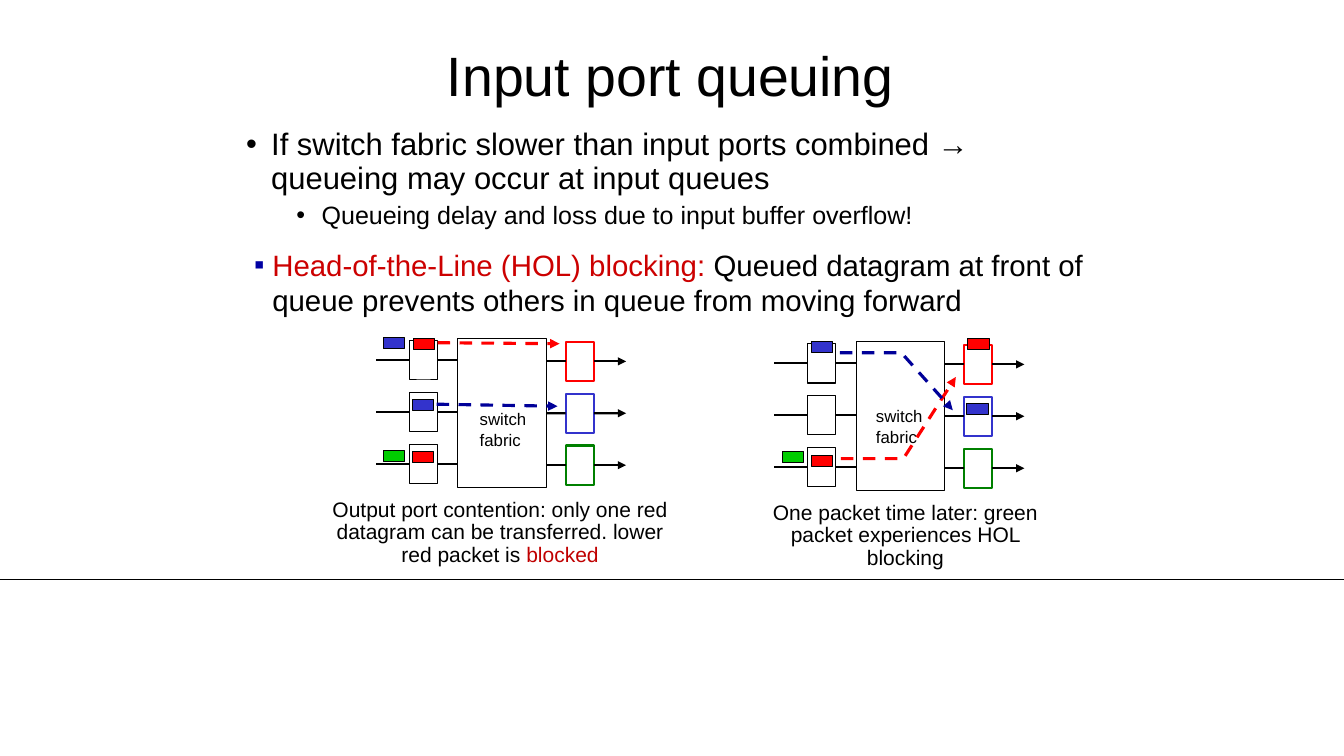
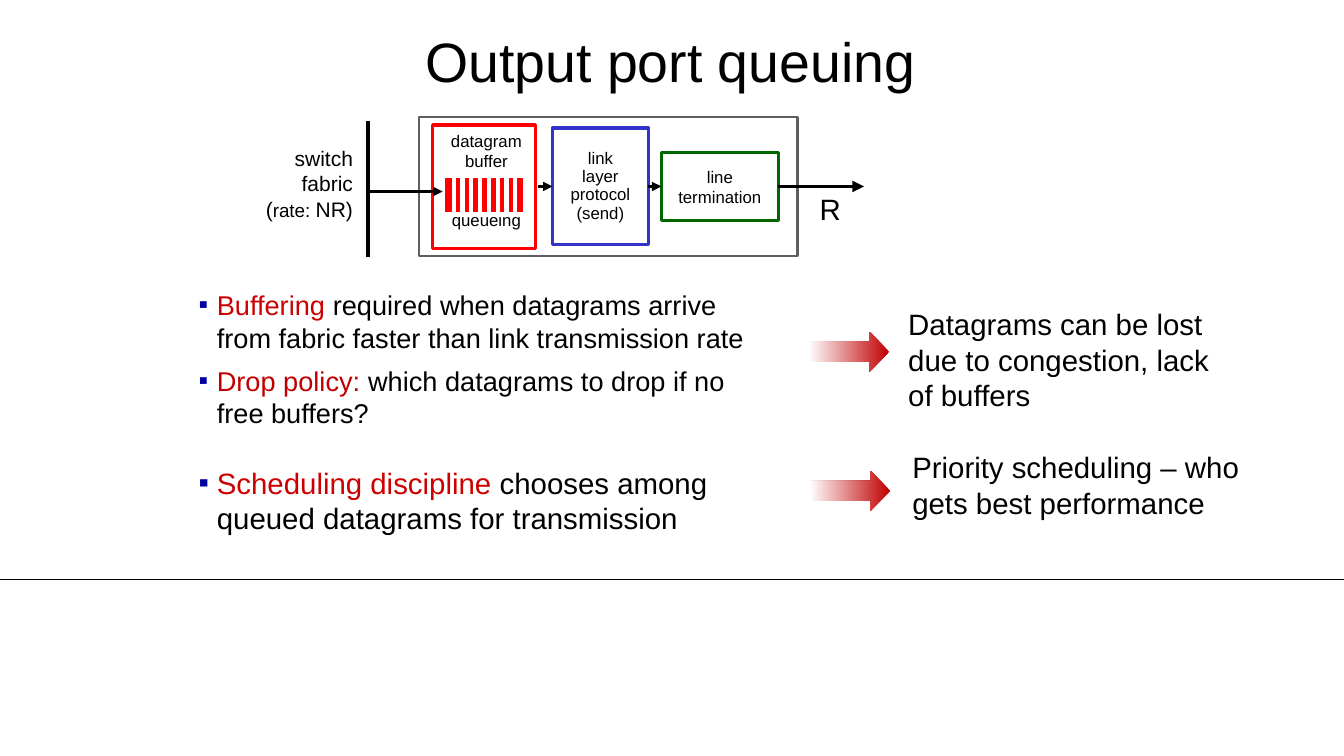
from lxml.etree import SubElement
from pptx import Presentation
from pptx.dml.color import RGBColor as Rgb
from pptx.enum.dml import MSO_LINE as Dash
from pptx.enum.shapes import MSO_CONNECTOR as Link, MSO_SHAPE as Kind
from pptx.enum.text import MSO_ANCHOR as Anchor, MSO_AUTO_SIZE as Fit, PP_ALIGN as Align
from pptx.oxml.ns import qn
from pptx.util import Inches, Pt

FONT = "Arial"
WIDE, HIGH = 13.33, 7.5
HUES = {
    "ink": "000000", "paper": "FFFFFF", "red": "FF0000", "blue": "3333CC",
    "green": "008000", "lime": "00CC00", "navy": "000099", "dot": "0000A3",
    "key": "CC0000", "deep": "C00000", "grey": "5F5F5F", "pine": "006600",
}


def hue(name):
    return Rgb.from_string(HUES[name])


def say(shape, *paras, size, color="ink", align=Align.LEFT, anchor=Anchor.TOP,
        lead=1, gap=0, pad=(0.1, 0.05), wrap=True):
    frame = shape.text_frame
    frame.auto_size = Fit.NONE
    frame.word_wrap = wrap
    frame.vertical_anchor = anchor
    frame.margin_left = frame.margin_right = Inches(pad[0])
    frame.margin_top = frame.margin_bottom = Inches(pad[1])
    for i, item in enumerate(paras):
        para = frame.add_paragraph() if i else frame.paragraphs[0]
        para.alignment = align
        para.line_spacing = lead
        para.space_before = Pt(gap)
        for text, *look in [(item,)] if isinstance(item, str) else item:
            run = para.add_run()
            run.text = text
            run.font.name = FONT
            run.font.color.rgb = hue(look[0] if look else color)
            run.font.size = Pt(look[1] if len(look) > 1 else size)
    return frame.paragraphs


def mark(para, sign, left, hang, color="ink"):
    props = para._p.get_or_add_pPr()
    props.set("marL", str(Inches(left)))
    props.set("indent", str(-Inches(hang)))
    tint = SubElement(props, qn("a:buClr"))
    SubElement(tint, qn("a:srgbClr")).set("val", HUES[color])
    SubElement(props, qn("a:buFont")).set("typeface", FONT)
    SubElement(props, qn("a:buChar")).set("char", sign)


def place(shape, x, y, w, h):
    shape.left, shape.top = Inches(x), Inches(y)
    shape.width, shape.height = Inches(w), Inches(h)
    return shape


def squares(body, box, *paras, size):
    place(body, *box)
    for para in say(body, *paras, size=size, gap=7.5, pad=(0.07, 0.04)):
        mark(para, "▪", 0.29, 0.18, "dot")


def note(slide, box, *paras, **look):
    area = slide.shapes.add_textbox(*map(Inches, box))
    return say(area, *paras, **look)


def block(slide, x, y, w, h, fill="paper", line="ink", width=0.75):
    shape = slide.shapes.add_shape(Kind.RECTANGLE, *map(Inches, (x, y, w, h)))
    shape.shadow.inherit = False
    shape.fill.solid()
    shape.fill.fore_color.rgb = hue(fill)
    shape.line.color.rgb = hue(line)
    shape.line.width = Pt(width)
    return shape


def ink(shape, color, width, dash, tip):
    shape.line.color.rgb = hue(color)
    shape.line.width = Pt(width)
    if dash:
        shape.line.dash_style = Dash.DASH
    if tip:
        edge = shape.element.spPr.find(qn("a:ln"))
        SubElement(edge, qn("a:tailEnd")).set("type", "triangle")


def wire(slide, start, end, color="ink", width=1.5, dash=False, tip=False,
         source=None, target=None):
    line = slide.shapes.add_connector(Link.STRAIGHT, *map(Inches, (*start, *end)))
    ink(line, color, width, dash, tip)
    SubElement(line.element.spPr, qn("a:effectLst"))
    if source:
        line.begin_connect(source, 3)
    if target:
        line.end_connect(target, 1)


def route(slide, points, color):
    if len(points) == 2:
        wire(slide, *points, color=color, width=2.25, dash=True, tip=True)
        return
    first, *rest = [tuple(map(Inches, point)) for point in points]
    pen = slide.shapes.build_freeform(*first)
    pen.add_line_segments(rest, close=False)
    shape = pen.convert_to_shape()
    shape.shadow.inherit = False
    shape.fill.background()
    ink(shape, color, 2.25, True, True)


def start(deck, title, top):
    slide = deck.slides.add_slide(deck.slide_layouts[3])
    wire(slide, (0, 5.75), (WIDE, 5.75), width=0.5)
    head = place(slide.shapes.title, 2.34, top, 8.62, 0.73)
    say(head, title, size=39.6, align=Align.CENTER, anchor=Anchor.MIDDLE, lead=0.9)
    return slide, slide.placeholders[1], slide.placeholders[2]


def switch(slide, x, y, label, packets, routes):
    fabric = block(slide, x + 0.81, y, 0.88, 1.48)
    for i, color in enumerate(("red", "blue", "green")):
        top = y + 0.02 + 0.515 * i
        mid = top + 0.195
        port = block(slide, x + 0.33, top, 0.28, 0.39)
        out = block(slide, x + 1.88, top + 0.01, 0.28, 0.39, line=color, width=1.5)
        wire(slide, (x, mid), (x + 0.33, mid), target=port)
        wire(slide, (x + 0.61, mid), (x + 0.81, mid), source=port)
        wire(slide, (x + 1.69, mid + 0.01), (x + 1.88, mid + 0.01), target=out)
        wire(slide, (x + 2.16, mid + 0.01), (x + 2.48, mid + 0.01), tip=True, source=out)
    note(slide, (x + label[0], y + label[1], 0.67, 0.5), "switch", "fabric",
         size=12, wrap=False)
    for left, top, color in packets:
        block(slide, x + left, y + top, 0.21, 0.11, fill=color)
    for color, points in routes:
        route(slide, [(x + left, y + top) for left, top in points], color)


def caption(slide, box, *paras):
    note(slide, box, *paras, size=15, align=Align.CENTER, lead=0.9)


def inputs(deck):
    slide, body, more = start(deck, "Input port queuing", 0.41)
    place(body, 2.34, 1.23, 8.4, 1.11)
    top, sub = say(
        body,
        "If switch fabric slower than input ports combined → queueing may occur at input queues",
        [("Queueing delay and loss due to input buffer overflow!", "ink", 17.9)],
        size=22.1, lead=0.9, gap=10)
    sub.level = 1
    sub.space_before = Pt(5)
    mark(top, "•", 0.25, 0.25)
    mark(sub, "•", 0.75, 0.25)
    squares(more, (2.34, 2.41, 8.62, 0.81),
            [("Head-of-the-Line (HOL) blocking:", "key"),
             (" Queued datagram at front of queue prevents others in queue from moving forward",)],
            size=21)
    switch(slide, 3.73, 3.36, (0.93, 0.65),
           [(0.37, 0, "red"), (0.36, 0.6, "blue"), (0.36, 1.12, "red"),
            (0.07, -0.01, "blue"), (0.07, 1.11, "lime")],
           [("red", [(0.61, 0.04), (1.82, 0.05)]),
            ("navy", [(0.6, 0.65), (1.8, 0.67)])])
    switch(slide, 7.68, 3.39, (0.91, 0.59),
           [(1.92, -0.03, "red"), (0.37, 0, "blue"), (0.37, 1.13, "red"),
            (0.08, 1.09, "lime"), (1.91, 0.61, "blue")],
           [("red", [(0.66, 1.16), (1.28, 1.16), (1.8, 0.35)]),
            ("navy", [(0.65, 0.11), (1.26, 0.11), (1.77, 0.68)])])
    caption(slide, (3.13, 4.9, 3.66, 0.78),
            [("Output port contention: only one red datagram can be transferred. lower red packet is ",),
             ("blocked", "deep")])
    caption(slide, (7.51, 4.93, 2.94, 0.78),
            "One packet time later: green packet experiences HOL blocking")


def buffer(slide, x, y):
    block(slide, x, y, 1.02, 1.23, line="red", width=2.25)
    paras = note(slide, (x + 0.07, y + 0.01, 0.93, 1.11), "datagram", "buffer",
                 "queueing", size=12, align=Align.CENTER, wrap=False)
    paras[-1].space_before = Pt(27.6)
    block(slide, x + 0.1, y + 0.5, 0.82, 0.38, fill="red", line="paper", width=3)
    for i in range(8):
        left = x + 0.21 + i * 0.61 / 7
        wire(slide, (left, y + 0.51), (left, y + 0.88), color="paper", width=3)


def port(slide, x, y):
    mid = y + 0.69
    look = dict(size=12, align=Align.CENTER, anchor=Anchor.MIDDLE, wrap=False)
    block(slide, x, y, 3.75, 1.38, line="grey", width=1.5)
    term = block(slide, x + 2.4, mid - 0.34, 1.16, 0.68, line="pine", width=2.25)
    say(term, "line", "termination", **look)
    link = block(slide, x + 1.32, mid - 0.58, 0.95, 1.16, line="blue", width=2.25)
    say(link, "link", "layer", "protocol", "(send)", lead=0.9, **look)
    buffer(slide, x + 0.13, y + 0.08)
    note(slide, (x - 1.43, y + 0.32, 0.87, 0.68), "switch", "fabric",
         [("(",), ("rate: ", "ink", 13.5), ("NR)",)],
         size=15, align=Align.RIGHT, anchor=Anchor.MIDDLE, wrap=False)
    note(slide, (x + 3.87, y + 0.69, 0.4, 0.45), "R", size=21)
    wire(slide, (x - 0.51, y + 0.04), (x - 0.51, y + 1.39), width=2.25)
    wire(slide, (x - 0.51, y + 0.74), (x + 0.23, y + 0.74), width=2.25, tip=True)
    wire(slide, (x + 1.18, mid), (x + 1.32, mid), width=2.25, tip=True, target=link)
    wire(slide, (x + 2.27, mid), (x + 2.4, mid), width=2.25, tip=True,
         source=link, target=term)
    wire(slide, (x + 3.56, mid), (x + 4.41, mid), width=2.75, tip=True, source=term)


def result(slide, x, y, box, text):
    arrow = slide.shapes.add_shape(Kind.RIGHT_ARROW, *map(Inches, (x, y, 0.8, 0.4)))
    arrow.shadow.inherit = False
    arrow.line.fill.background()
    arrow.fill.gradient()
    arrow.fill.gradient_angle = 180
    for stop, color, spot in zip(arrow.fill.gradient_stops, ("deep", "paper"), (0, 1)):
        stop.color.rgb = hue(color)
        stop.position = spot
    note(slide, box, text, size=21)


def outputs(deck):
    slide, body, more = start(deck, "Output port queuing", 0.28)
    port(slide, 4.16, 1.16)
    squares(body, (1.79, 2.82, 6, 1.51),
            [("Buffering", "key"),
             (" required when datagrams arrive from fabric faster than link transmission rate",)],
            [("Drop policy: ", "deep"), ("which datagrams to drop if no free buffers?",)],
            size=19.4)
    squares(more, (1.79, 4.57, 5.35, 1.06),
            [("Scheduling discipline", "key"),
             (" chooses among queued datagrams for transmission",)], size=21)
    result(slide, 8.02, 3.29, (8.91, 2.99, 3.24, 1.16),
           "Datagrams can be lost due to congestion, lack of buffers")
    result(slide, 8.03, 4.67, (8.95, 4.41, 3.44, 1.16),
           "Priority scheduling – who gets best performance")


def main():
    deck = Presentation()
    deck.slide_width, deck.slide_height = Inches(WIDE), Inches(HIGH)
    inputs(deck)
    outputs(deck)
    deck.save("out.pptx")


if __name__ == "__main__":
    main()
